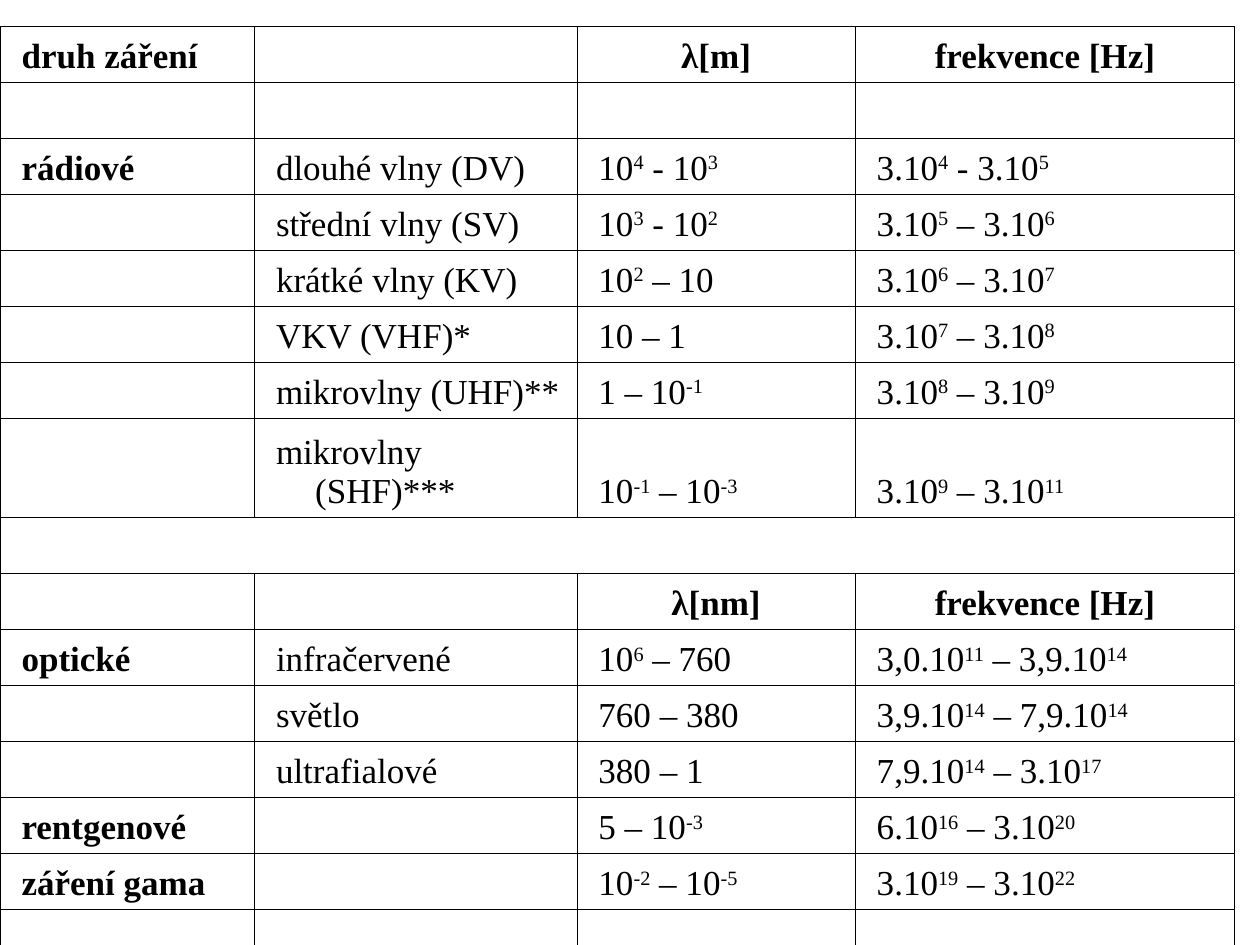
from lxml import etree
from pptx import Presentation
from pptx.dml.color import RGBColor
from pptx.enum.text import MSO_ANCHOR, PP_ALIGN
from pptx.oxml.ns import qn
from pptx.util import Cm, Pt

BLACK = RGBColor(0, 0, 0)
FONT_NAME = "Times New Roman"
BOTTOM = MSO_ANCHOR.BOTTOM
LEFT = PP_ALIGN.LEFT
CENTER = PP_ALIGN.CENTER

BLANK_LAYOUT = 6
COLUMN_WIDTHS = (5.13, 6.5, 5.61, 7.65)
ROW_HEIGHT = 1.13
TALL_ROW_HEIGHT = 2
TALL_ROW = 7
HEADER_ROWS = (0, 9)
MERGED_ROW = 8

# Text between carets is superscript.
RADIATION_ROWS = (
    ("druh záření", "", "λ[m]", "frekvence [Hz]"),
    ("", "", "", ""),
    ("rádiové", "dlouhé vlny (DV)", "10^4^ - 10^3^", "3.10^4^ - 3.10^5^"),
    ("", "střední vlny (SV)", "10^3^ - 10^2^", "3.10^5^ – 3.10^6^"),
    ("", "krátké vlny (KV)", "10^2^ – 10", "3.10^6^ – 3.10^7^"),
    ("", "VKV (VHF)*", "10 – 1", "3.10^7^ – 3.10^8^"),
    ("", "mikrovlny (UHF)**", "1 – 10^-1^", "3.10^8^ – 3.10^9^"),
    ("", "mikrovlny (SHF)***", "10^-1^ – 10^-3^", "3.10^9^ – 3.10^11^"),
    ("", "", "", ""),
    ("", "", "λ[nm]", "frekvence [Hz]"),
    ("optické", "infračervené", "10^6^ – 760", "3,0.10^11^ – 3,9.10^14^"),
    ("", "světlo", "760 – 380", "3,9.10^14^ – 7,9.10^14^"),
    ("", "ultrafialové", "380 – 1", "7,9.10^14^ – 3.10^17^"),
    ("rentgenové", "", "5 – 10^-3^", "6.10^16^ – 3.10^20^"),
    ("záření gama", "", "10^-2^ – 10^-5^", "3.10^19^ – 3.10^22^"),
    ("", "", "", ""),
)


def write_text(paragraph, text, size=20, bold=False, align=LEFT):
    paragraph.alignment = align
    if align == LEFT:
        properties = paragraph._p.get_or_add_pPr()
        properties.set("marL", str(Cm(0.97)))
        properties.set("indent", str(Cm(-0.79)))
    for position, part in enumerate(text.split("^")):
        if not part:
            continue
        run = paragraph.add_run()
        run.text = part
        run.font.name = FONT_NAME
        run.font.size = Pt(size)
        run.font.bold = bold
        run.font.color.rgb = BLACK
        if position % 2:
            run._r.get_or_add_rPr().set("baseline", "30000")


def set_borders(cell, color=BLACK, width=0.34):
    properties = cell._tc.get_or_add_tcPr()
    for side in ("lnL", "lnR", "lnT", "lnB"):
        line = etree.SubElement(properties, qn(f"a:{side}"), w=str(Pt(width)))
        fill = etree.SubElement(line, qn("a:solidFill"))
        etree.SubElement(fill, qn("a:srgbClr"), val=str(color))


def add_radiation_table(slide, left, top, width, height):
    table = slide.shapes.add_table(
        len(RADIATION_ROWS), len(COLUMN_WIDTHS), left, top, width, height
    ).table
    table.first_row = False
    table.horz_banding = False
    for column, column_width in zip(table.columns, COLUMN_WIDTHS):
        column.width = Cm(column_width)
    for row_index, texts in enumerate(RADIATION_ROWS):
        is_header = row_index in HEADER_ROWS
        row_height = TALL_ROW_HEIGHT if row_index == TALL_ROW else ROW_HEIGHT
        table.rows[row_index].height = Cm(row_height)
        for column_index, text in enumerate(texts):
            cell = table.cell(row_index, column_index)
            set_borders(cell)
            cell.fill.background()
            cell.vertical_anchor = BOTTOM
            write_text(
                cell.text_frame.paragraphs[0],
                text,
                bold=is_header or column_index == 0,
                align=CENTER if is_header and column_index > 1 else LEFT,
            )
    last_column = len(COLUMN_WIDTHS) - 1
    table.cell(MERGED_ROW, 0).merge(table.cell(MERGED_ROW, last_column))


def main():
    presentation = Presentation()
    presentation.slide_width = Cm(25.4)
    presentation.slide_height = Cm(19.05)
    slide = presentation.slides.add_slide(presentation.slide_layouts[BLANK_LAYOUT])
    table_height = ROW_HEIGHT * (len(RADIATION_ROWS) - 1) + TALL_ROW_HEIGHT
    add_radiation_table(slide, Cm(0), Cm(0.53), Cm(sum(COLUMN_WIDTHS)), Cm(table_height))
    presentation.save("out.pptx")


if __name__ == "__main__":
    main()
